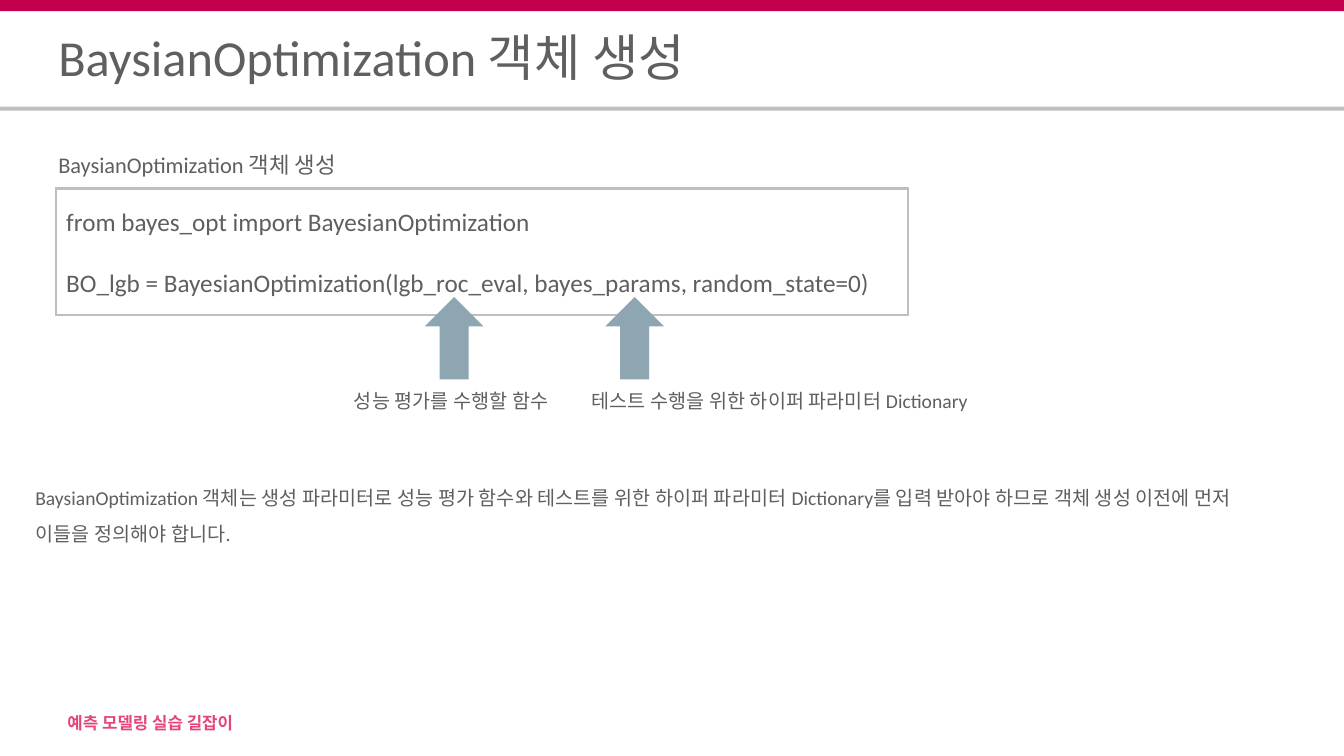
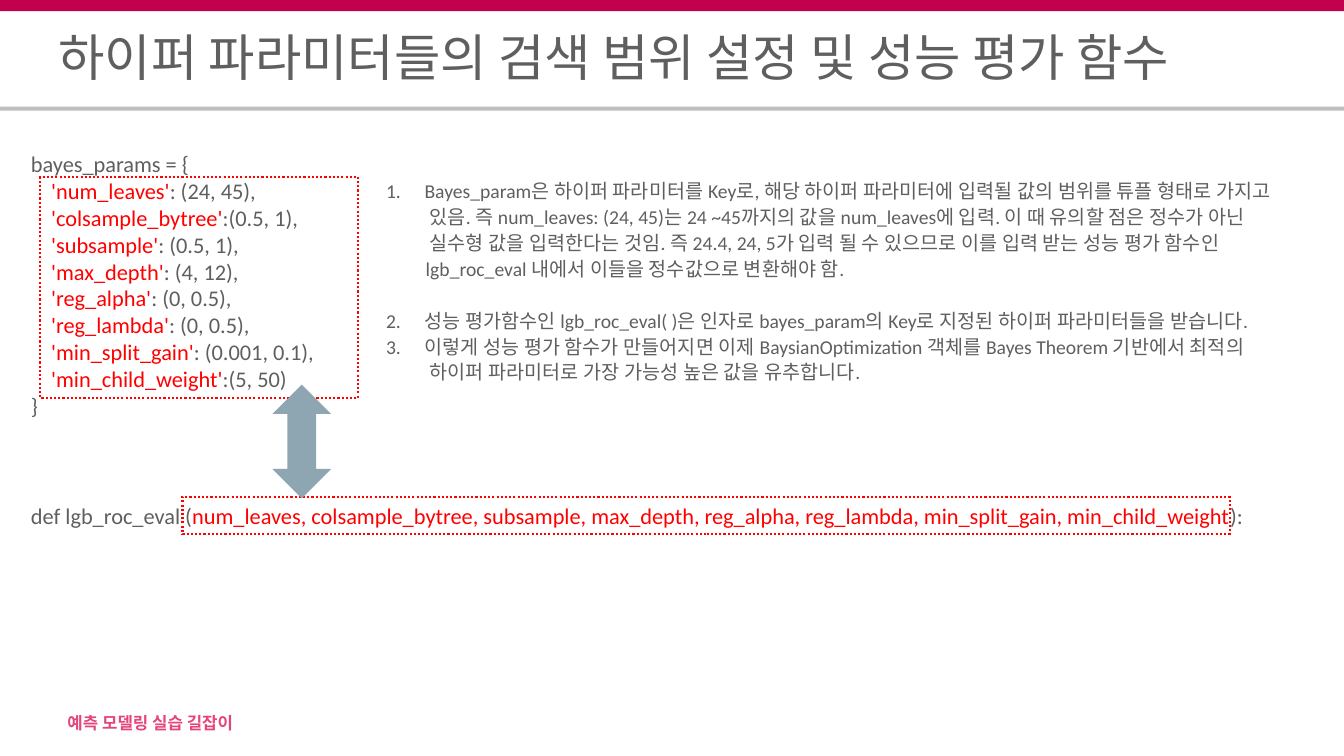
from dataclasses import dataclass
from typing import Optional, Sequence, Union

import lxml.etree
import pptx
import pptx.dml.color
import pptx.enum.dml
import pptx.enum.shapes
import pptx.enum.text
import pptx.oxml.ns
import pptx.presentation
import pptx.shapes.autoshape
import pptx.slide
import pptx.text.text
import pptx.util

Cm = pptx.util.Cm
Pt = pptx.util.Pt
RGBColor = pptx.dml.color.RGBColor
ShapeType = pptx.enum.shapes.MSO_SHAPE
Anchor = pptx.enum.text.MSO_ANCHOR
AutoSize = pptx.enum.text.MSO_AUTO_SIZE
qn = pptx.oxml.ns.qn

CRIMSON = RGBColor(0xC3, 0x00, 0x4D)
PINK = RGBColor(0xE5, 0x45, 0x7B)
SILVER = RGBColor(0xBF, 0xBF, 0xBF)
GRAY = RGBColor(0x5F, 0x5F, 0x5F)
STEEL = RGBColor(0x8D, 0xA6, 0xB1)
RED = RGBColor(0xFF, 0x00, 0x00)

FONT = "Calibri"
FOOTER = "예측 모델링 실습 길잡이"
SLIDE_WIDTH = 33.87
SLIDE_HEIGHT = 19.05
HANGING = 0.97
CONTINUED = 1.1


@dataclass(frozen=True)
class Box:
    left: float
    top: float
    width: float
    height: float

    def lengths(self) -> tuple[int, int, int, int]:
        return Cm(self.left), Cm(self.top), Cm(self.width), Cm(self.height)


@dataclass(frozen=True)
class Run:
    text: str
    color: RGBColor = GRAY


@dataclass(frozen=True)
class Line:
    runs: tuple[Run, ...]
    indent: float = 0
    space_before: float = 0
    number: Optional[int] = None


@dataclass(frozen=True)
class Parameter:
    name: str
    search_range: str


@dataclass(frozen=True)
class Argument:
    arrow_left: float
    label_box: Box
    label: str


PARAMETERS = (
    Parameter("num_leaves", ": (24, 45),"),
    Parameter("colsample_bytree", ":(0.5, 1),"),
    Parameter("subsample", ": (0.5, 1),"),
    Parameter("max_depth", ": (4, 12),"),
    Parameter("reg_alpha", ": (0, 0.5),"),
    Parameter("reg_lambda", ": (0, 0.5),"),
    Parameter("min_split_gain", ": (0.001, 0.1),"),
    Parameter("min_child_weight", ":(5, 50)"),
)

ARGUMENTS = (
    Argument(10.44, Box(8.92, 9.73, 5.99, 0.79), "성능 평가를 수행할 함수"),
    Argument(14.99, Box(14.91, 9.73, 7.98, 0.79), "테스트 수행을 위한 하이퍼 파라미터 Dictionary"),
)


def plain(text: str, indent: float = 0, space_before: float = 0, number: Optional[int] = None) -> Line:
    return Line((Run(text),), indent, space_before, number)


NOTES = (
    plain("Bayes_param은 하이퍼 파라미터를 Key로, 해당 하이퍼 파라미터에 입력될 값의 범위를 튜플 형태로 가지고", HANGING, number=1),
    plain("있음. 즉 num_leaves: (24, 45)는 24 ~45까지의 값을 num_leaves에 입력. 이 때 유의할 점은 정수가 아닌", CONTINUED),
    plain("실수형 값을 입력한다는 것임. 즉 24.4, 24, 5가 입력 될 수 있으므로 이를 입력 받는 성능 평가 함수인", CONTINUED),
    plain("lgb_roc_eval 내에서 이들을 정수값으로 변환해야 함.", 1),
    plain("성능 평가함수인 lgb_roc_eval( )은 인자로 bayes_param의 Key로 지정된 하이퍼 파라미터들을 받습니다.",
          HANGING, space_before=18.7, number=2),
    plain("이렇게 성능 평가 함수가 만들어지면 이제 BaysianOptimization 객체를 Bayes Theorem 기반에서 최적의", HANGING, number=2),
    plain("하이퍼 파라미터로 가장 가능성 높은 값을 유추합니다.", CONTINUED),
)


def set_indent(paragraph: pptx.text.text._Paragraph, line: Line) -> None:
    properties = paragraph._p.get_or_add_pPr()
    properties.set("marL", str(Cm(line.indent)))
    if line.number is None:
        properties.set("indent", "0")
        return
    properties.set("indent", str(-Cm(line.indent)))
    numbering = lxml.etree.SubElement(properties, qn("a:buAutoNum"))
    numbering.set("type", "arabicPeriod")
    if line.number > 1:
        numbering.set("startAt", str(line.number))


def write_text(
    frame: pptx.text.text.TextFrame,
    text: Union[str, Sequence[Line]],
    *,
    size: float,
    color: Optional[RGBColor] = None,
    bold: bool = False,
    spacing: Optional[float] = None,
    anchor: Anchor = Anchor.TOP,
    inset: bool = False,
    wrap: bool = True,
    grow: bool = False,
) -> None:
    frame.word_wrap = wrap
    frame.auto_size = AutoSize.SHAPE_TO_FIT_TEXT if grow else AutoSize.NONE
    frame.vertical_anchor = anchor
    if not inset:
        frame.margin_left = frame.margin_right = frame.margin_top = frame.margin_bottom = 0
    lines = (plain(text),) if isinstance(text, str) else text
    for index, line in enumerate(lines):
        paragraph = frame.paragraphs[0] if index == 0 else frame.add_paragraph()
        paragraph.alignment = pptx.enum.text.PP_ALIGN.LEFT
        if spacing is not None:
            paragraph.line_spacing = spacing
        if line.space_before:
            paragraph.space_before = Pt(line.space_before)
        if line.indent:
            set_indent(paragraph, line)
        for part in line.runs:
            run = paragraph.add_run()
            run.text = part.text
            run.font.name = FONT
            run.font.size = Pt(size)
            run.font.bold = bold
            run.font.color.rgb = color or part.color
            lxml.etree.SubElement(run._r.get_or_add_rPr(), qn("a:ea")).set("typeface", FONT)


def add_text(slide: pptx.slide.Slide, box: Box, text: Union[str, Sequence[Line]], **text_format) -> None:
    write_text(slide.shapes.add_textbox(*box.lengths()).text_frame, text, **text_format)


def add_figure(
    slide: pptx.slide.Slide,
    kind: ShapeType,
    box: Box,
    *,
    fill: Optional[RGBColor] = None,
    outline: Optional[RGBColor] = None,
    dotted: bool = False,
    rotation: float = 0,
) -> None:
    shape = slide.shapes.add_shape(kind, *box.lengths())
    shape.shadow.inherit = False
    shape.rotation = rotation
    if fill is None:
        shape.fill.background()
    else:
        shape.fill.solid()
        shape.fill.fore_color.rgb = fill
    if outline is None:
        shape.line.fill.background()
        return
    shape.line.color.rgb = outline
    shape.line.width = Pt(1.5)
    if dotted:
        shape.line.dash_style = pptx.enum.dml.MSO_LINE.ROUND_DOT
    corners = lxml.etree.SubElement(shape._element.spPr.find(qn("a:ln")), qn("a:miter"))
    corners.set("lim", "800000")


def add_titled_slide(presentation: pptx.presentation.Presentation, title: str) -> pptx.slide.Slide:
    slide = presentation.slides.add_slide(presentation.slide_layouts[5])
    add_text(slide, Box(1.45, 17.93, 7.9, 0.61), FOOTER,
             size=12, color=PINK, bold=True, spacing=0.9, anchor=Anchor.MIDDLE, inset=True)
    add_figure(slide, ShapeType.RECTANGLE, Box(0, 0, SLIDE_WIDTH, 0.28), fill=CRIMSON)
    add_figure(slide, ShapeType.RECTANGLE, Box(0, 2.69, SLIDE_WIDTH, 0.1), fill=SILVER)
    placeholder = slide.shapes.title
    placeholder.left, placeholder.top, placeholder.width, placeholder.height = Box(1.47, 0.84, 30.91, 1.47).lengths()
    write_text(placeholder.text_frame, title, size=36, spacing=0.8, anchor=Anchor.MIDDLE)
    return slide


def build_object_slide(presentation: pptx.presentation.Presentation) -> None:
    slide = add_titled_slide(presentation, "BaysianOptimization 객체 생성")
    add_figure(slide, ShapeType.RECTANGLE, Box(1.42, 4.75, 21.46, 3.2), outline=SILVER)
    code = (
        plain("from bayes_opt import BayesianOptimization"),
        plain("BO_lgb = BayesianOptimization(lgb_roc_eval, bayes_params, random_state=0)", space_before=22),
    )
    add_text(slide, Box(1.42, 5.08, 21.41, 2.57), code, size=18, inset=True, grow=True)
    add_text(slide, Box(1.47, 3.73, 10, 0.79), "BaysianOptimization 객체 생성", size=16, spacing=1.1, wrap=False)
    for argument in ARGUMENTS:
        add_text(slide, argument.label_box, argument.label, size=14, spacing=1.1, wrap=False)
        add_figure(slide, ShapeType.RIGHT_ARROW, Box(argument.arrow_left, 7.85, 2.01, 1.35),
                   fill=STEEL, outline=STEEL, rotation=270)
    explanation = (
        plain("BaysianOptimization 객체는 생성 파라미터로 성능 평가 함수와 테스트를 위한 하이퍼 파라미터 "
              "Dictionary를 입력 받아야 하므로 객체 생성 이전에 먼저"),
        plain("이들을 정의해야 합니다."),
    )
    add_text(slide, Box(0.89, 11.96, 32.05, 2.54), explanation, size=14, spacing=1.5, wrap=False)


def build_range_slide(presentation: pptx.presentation.Presentation) -> None:
    slide = add_titled_slide(presentation, "하이퍼 파라미터들의 검색 범위 설정 및 성능 평가 함수")
    names = ", ".join(parameter.name for parameter in PARAMETERS)
    signature = Line((Run("def lgb_roc_eval ("), Run(names, RED), Run("):")))
    add_text(slide, Box(0.53, 12.52, 31.65, 0.94), (signature,), size=16, inset=True, grow=True)
    entries = [
        Line((Run(f"'{parameter.name}'", RED), Run(parameter.search_range)), indent=0.51)
        for parameter in PARAMETERS
    ]
    dictionary = [plain("bayes_params = {"), *entries, plain("}")]
    add_text(slide, Box(0.53, 3.66, 16.92, 7.09), dictionary, size=16, inset=True, grow=True)
    for box in (Box(1.02, 4.45, 8, 5.59), Box(4.6, 12.52, 26.39, 0.94)):
        add_figure(slide, ShapeType.RECTANGLE, box, outline=RED, dotted=True)
    add_figure(slide, ShapeType.UP_DOWN_ARROW, Box(6.93, 9.73, 1.35, 2.79), fill=STEEL, outline=STEEL)
    add_text(slide, Box(9.73, 4.45, 23.19, 5.26), NOTES, size=14, spacing=1.1, wrap=False)


def main() -> None:
    presentation = pptx.Presentation()
    presentation.slide_width = Cm(SLIDE_WIDTH)
    presentation.slide_height = Cm(SLIDE_HEIGHT)
    build_object_slide(presentation)
    build_range_slide(presentation)
    presentation.save("out.pptx")


if __name__ == "__main__":
    main()
